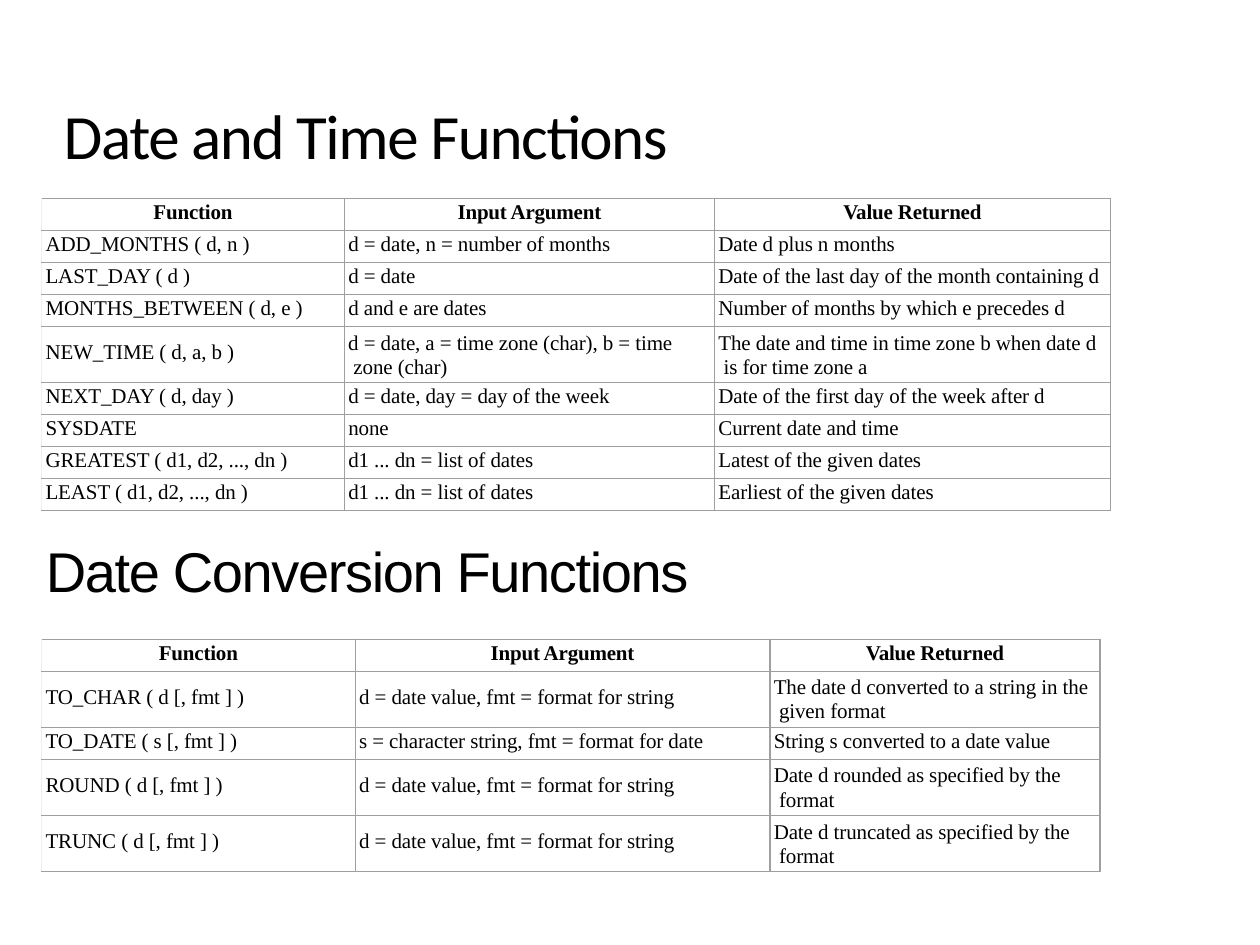
import pptx
import pptx.util
import pptx.dml.color
import pptx.enum.text
import lxml.etree

Pt = pptx.util.Pt
RGB = pptx.dml.color.RGBColor.from_string
ALIGN = pptx.enum.text.PP_ALIGN
ANCHOR = pptx.enum.text.MSO_ANCHOR
COLORS = {"text": "000000", "border": "9F9F9F", "left edge": "EFEFEF"}

# Row layouts: height, top inset
SINGLE_HEIGHT, SINGLE_INSET = 18.3, 1.4
DOUBLE_HEIGHT, DOUBLE_INSET = 32.1, 2.3
CENTRED_INSET = 8.2


def style_paragraph(para, font_name, size, spacing, bold=False):
    para.font.name = font_name
    para.font.size = Pt(size)
    para.font.bold = bold
    para.font.color.rgb = RGB(COLORS["text"])
    # Character spacing is in hundredths of a point
    para._p.pPr.defRPr.set("spc", str(spacing))


def add_border(cell, side, color):
    namespace = "http://schemas.openxmlformats.org/drawingml/2006/main"
    line = lxml.etree.SubElement(cell._tc.get_or_add_tcPr(), f"{{{namespace}}}{side}", w=str(Pt(0.75)))
    fill = lxml.etree.SubElement(line, f"{{{namespace}}}solidFill")
    lxml.etree.SubElement(fill, f"{{{namespace}}}srgbClr", val=color)


deck = pptx.Presentation()
deck.slide_width, deck.slide_height = Pt(720), Pt(540)
page = deck.slides.add_slide(deck.slide_layouts[6])

# Headings: text, top, width, height, font, size, alignment, anchor
headings = [
    ("Date and Time Functions", 53.3, 366.5, 45.4, "Calibri", 36, ALIGN.CENTER, ANCHOR.MIDDLE),
    ("Date Conversion Functions", 305.3, 509, 39.6, "Arial", 32, ALIGN.LEFT, ANCHOR.TOP),
]
for text, top, width, height, font_name, size, alignment, anchor in headings:
    box = page.shapes.add_textbox(Pt(25.2), Pt(top), Pt(width), Pt(height))
    frame = box.text_frame
    frame.word_wrap = True
    frame.auto_size = pptx.enum.text.MSO_AUTO_SIZE.SHAPE_TO_FIT_TEXT
    frame.vertical_anchor = anchor
    frame.margin_left = frame.margin_right = frame.margin_bottom = 0
    frame.margin_top = Pt(1)
    para = frame.paragraphs[0]
    para.text = text
    para.alignment = alignment
    para.space_before = Pt(1)
    para._p.get_or_add_pPr().set("marL", str(Pt(1)))
    style_paragraph(para, font_name, size, -80)

# Tables: top, column widths, columns that wrap in tall rows, tall rows, body rows
header = ("Function", "Input Argument", "Value Returned")
tables = [
    (113.4, (173, 211.5, 226.2), (1, 2), (4,), [
        ("ADD_MONTHS ( d, n )", "d = date, n = number of months", "Date d plus n months"),
        ("LAST_DAY ( d )", "d = date", "Date of the last day of the month containing d"),
        ("MONTHS_BETWEEN ( d, e )", "d and e are dates", "Number of months by which e precedes d"),
        ("NEW_TIME ( d, a, b )", "d = date, a = time zone (char), b = time zone (char)",
         "The date and time in time zone b when date d is for time zone a"),
        ("NEXT_DAY ( d, day )", "d = date, day = day of the week",
         "Date of the first day of the week after d"),
        ("SYSDATE", "none", "Current date and time"),
        ("GREATEST ( d1, d2, ..., dn )", "d1 ... dn = list of dates", "Latest of the given dates"),
        ("LEAST ( d1, d2, ..., dn )", "d1 ... dn = list of dates", "Earliest of the given dates"),
    ]),
    (365.3, (179.2, 237, 188.6), (2,), (1, 3, 4), [
        ("TO_CHAR ( d [, fmt ] )", "d = date value, fmt = format for string",
         "The date d converted to a string in the given format"),
        ("TO_DATE ( s [, fmt ] )", "s = character string, fmt = format for date",
         "String s converted to a date value"),
        ("ROUND ( d [, fmt ] )", "d = date value, fmt = format for string",
         "Date d rounded as specified by the format"),
        ("TRUNC ( d [, fmt ] )", "d = date value, fmt = format for string",
         "Date d truncated as specified by the format"),
    ]),
]
for top, widths, wrapping, tall_rows, body in tables:
    rows = [header] + body
    heights = [DOUBLE_HEIGHT if i in tall_rows else SINGLE_HEIGHT for i in range(len(rows))]
    table = page.shapes.add_table(len(rows), len(widths), Pt(23.8), Pt(top),
                                  Pt(sum(widths)), Pt(sum(heights))).table
    table.first_row = table.horz_banding = False
    for column, width in zip(table.columns, widths):
        column.width = Pt(width)
    for i, texts in enumerate(rows):
        table.rows[i].height = Pt(heights[i])
        for j, text in enumerate(texts):
            cell = table.cell(i, j)
            wraps = i in tall_rows and j in wrapping
            inset = DOUBLE_INSET if wraps else CENTRED_INSET if i in tall_rows else SINGLE_INSET
            cell.margin_left = cell.margin_right = cell.margin_bottom = 0
            cell.margin_top = Pt(inset)
            para = cell.text_frame.paragraphs[0]
            para.text = text
            para.space_before = Pt(inset)
            if i == 0:
                para.alignment = ALIGN.CENTER
            else:
                # Wrapped lines hang slightly to the right of the first
                hang = 3 if wraps else 0
                properties = para._p.get_or_add_pPr()
                properties.set("marL", str(Pt(2.2 + hang)))
                properties.set("indent", str(Pt(-hang)))
            if wraps:
                para.line_spacing = Pt(13.8)
            style_paragraph(para, "Times New Roman", 12, -10 if i == 0 else -5, bold=i == 0)
            for side in ("lnL", "lnR", "lnT", "lnB"):
                outer = side == "lnL" and j == 0
                add_border(cell, side, COLORS["left edge" if outer else "border"])
            cell.fill.background()

deck.save("out.pptx")
